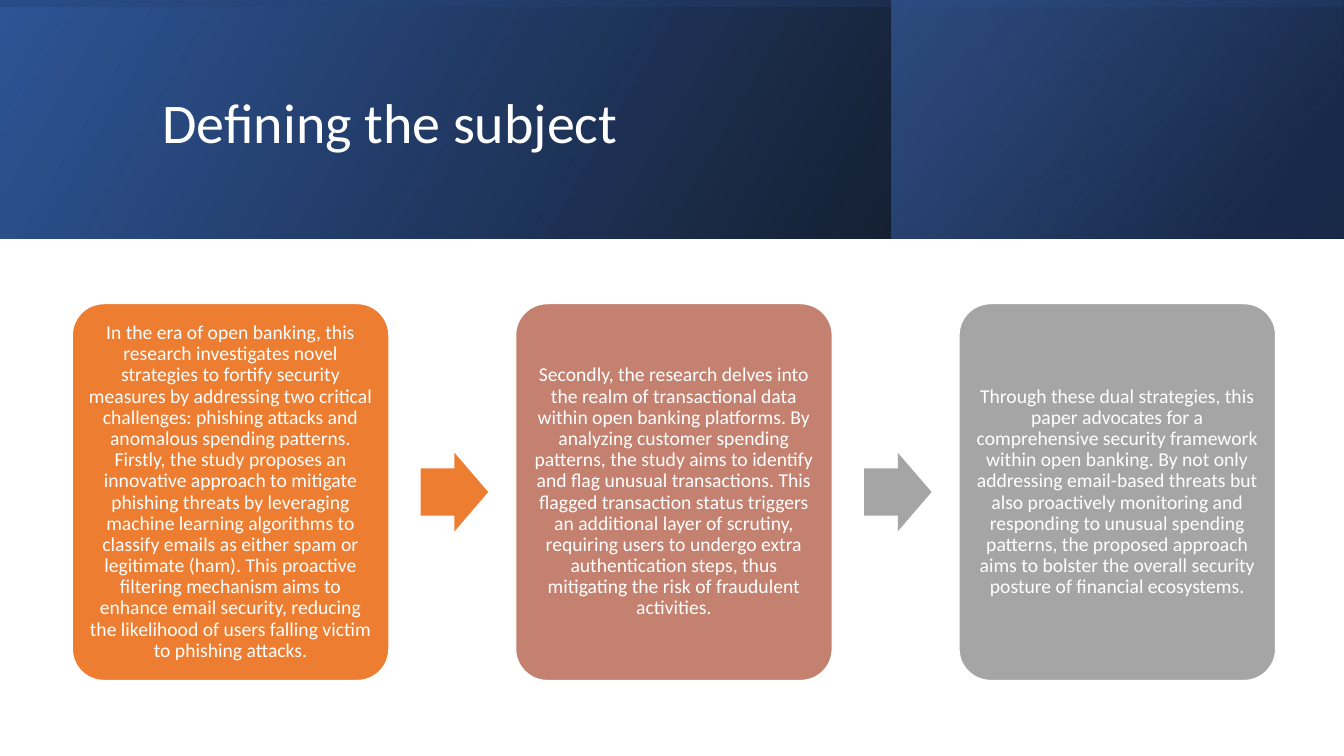
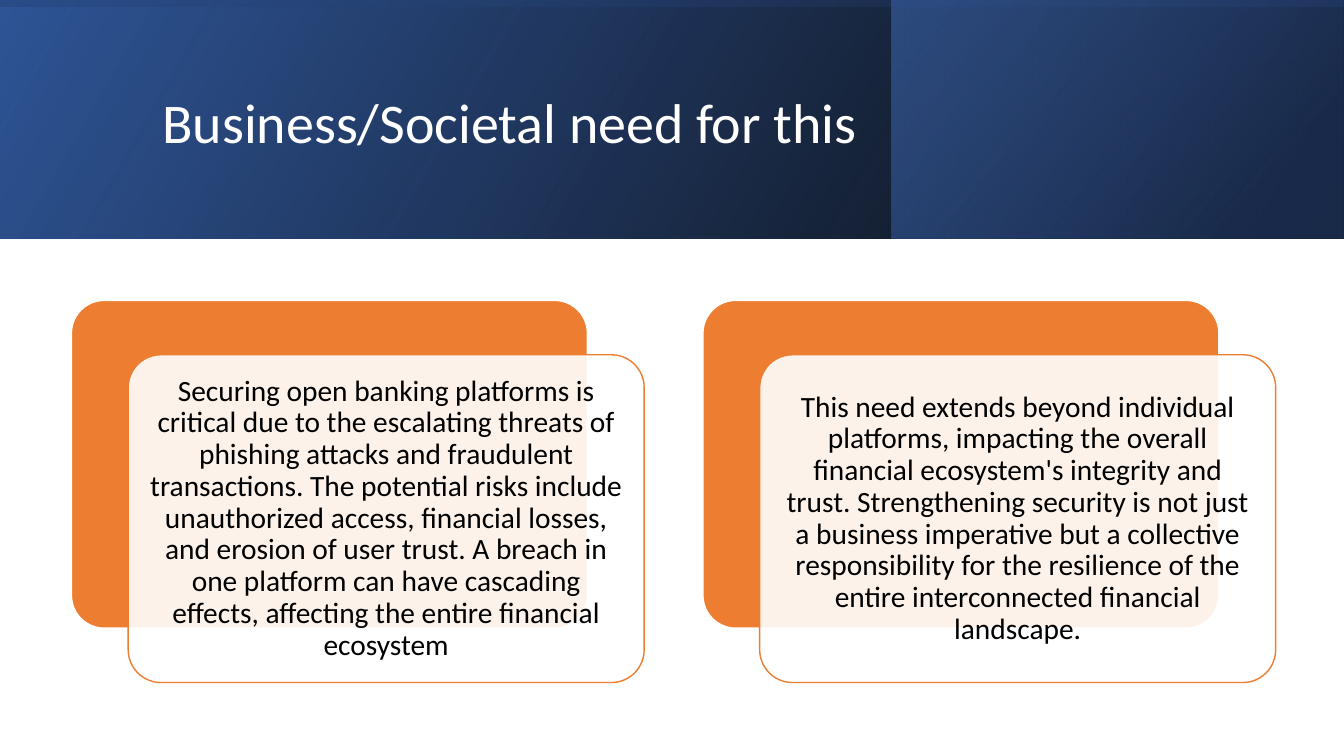
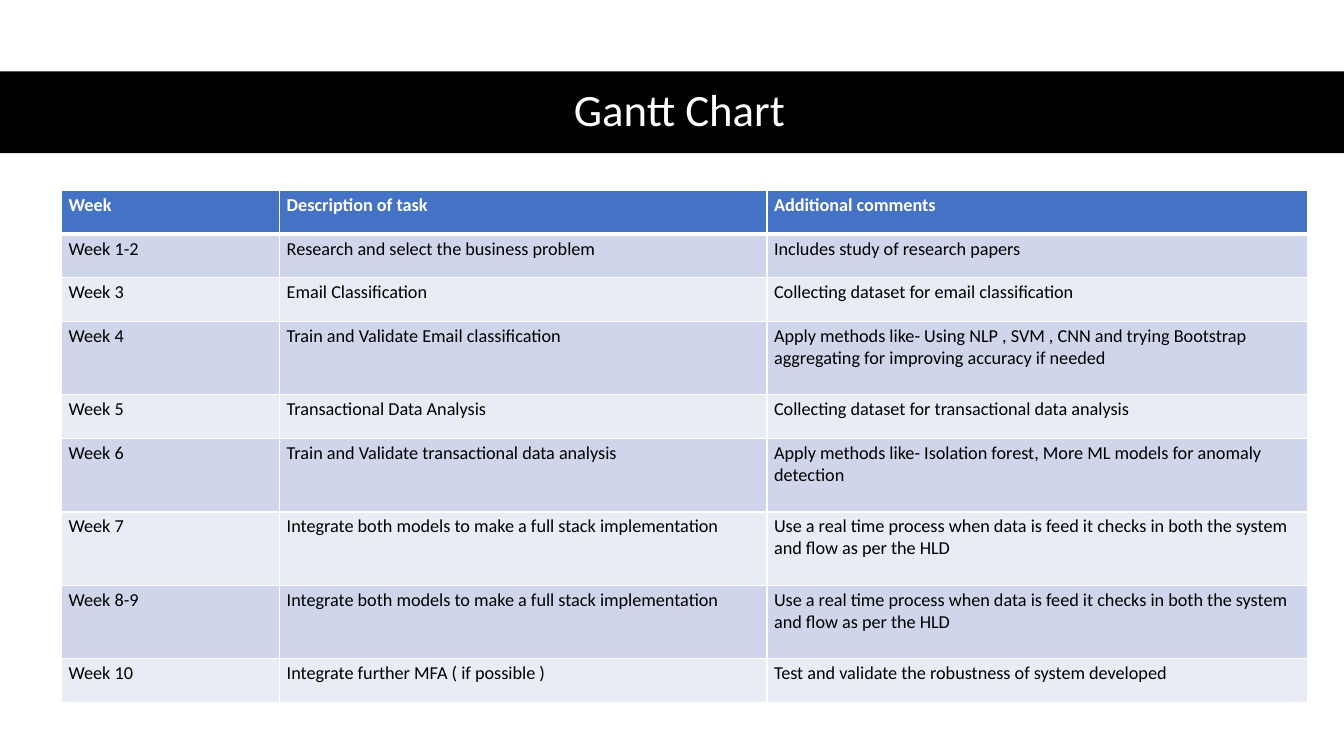
from collections import namedtuple

from lxml import etree
from pptx import Presentation
from pptx import util as u
from pptx.dml.color import RGBColor
from pptx.enum import shapes, text
from pptx.oxml.ns import qn

Box = namedtuple("Box", "x y w h")  # centimetres


class Theme:
    font = "Calibri"
    white, black = "FFFFFF", "000000"
    navy, royal, blue = "203864", "2F5597", "4472C4"
    orange, rose, grey = "ED7D31", "C48170", "A5A5A5"
    stripes = ("E9EBF5", "CFD5EA")
    title, table_title, step, note, cell = 40, 32, 14, 21, 13


WIDTH, HEIGHT = 33.86, 19.05
BAND = Box(0, 0, WIDTH, 6.02)

STEPS = [
    ("In the era of open banking, this research investigates novel strategies to fortify "
     "security measures by addressing two critical challenges: phishing attacks and anomalous "
     "spending patterns. Firstly, the study proposes an innovative approach to mitigate phishing "
     "threats by leveraging machine learning algorithms to classify emails as either spam or "
     "legitimate (ham). This proactive filtering mechanism aims to enhance email security, "
     "reducing the likelihood of users falling victim to phishing attacks.", Theme.orange),
    ("Secondly, the research delves into the realm of transactional data within open banking "
     "platforms. By analyzing customer spending patterns, the study aims to identify and flag "
     "unusual transactions. This flagged transaction status triggers an additional layer of "
     "scrutiny, requiring users to undergo extra authentication steps, thus mitigating the risk "
     "of fraudulent activities.", Theme.rose),
    ("Through these dual strategies, this paper advocates for a comprehensive security framework "
     "within open banking. By not only addressing email-based threats but also proactively "
     "monitoring and responding to unusual spending patterns, the proposed approach aims to "
     "bolster the overall security posture of financial ecosystems.", Theme.grey),
]
ARROW_COLORS = (Theme.orange, Theme.grey)

NEEDS = [
    "Securing open banking platforms is critical due to the escalating threats of phishing "
    "attacks and fraudulent transactions. The potential risks include unauthorized access, "
    "financial losses, and erosion of user trust. A breach in one platform can have cascading "
    "effects, affecting the entire financial ecosystem",
    "This need extends beyond individual platforms, impacting the overall financial ecosystem's "
    "integrity and trust. Strengthening security is not just a business imperative but a "
    "collective responsibility for the resilience of the entire interconnected financial "
    "landscape.",
]

INTEGRATE = ("Integrate both models to make a full stack implementation",
             "Use a real time process when data is feed it checks in both the system and flow "
             "as per the HLD")
SCHEDULE = [
    ("Week", "Description of task", "Additional comments"),
    ("Week 1-2", "Research and select the business problem", "Includes study of research papers"),
    ("Week 3", "Email Classification", "Collecting dataset for email classification"),
    ("Week 4", "Train and Validate Email classification",
     "Apply methods like- Using NLP , SVM , CNN and trying Bootstrap aggregating for improving "
     "accuracy if needed"),
    ("Week 5", "Transactional Data Analysis",
     "Collecting dataset for transactional data analysis"),
    ("Week 6", "Train and Validate transactional data analysis",
     "Apply methods like- Isolation forest, More ML models for anomaly detection"),
    ("Week 7", *INTEGRATE),
    ("Week 8-9", *INTEGRATE),
    ("Week 10", "Integrate further MFA ( if possible )",
     "Test and validate the robustness of system developed"),
]
TALL_ROWS = (3, 5, 6, 7)


def rgb(color):
    return RGBColor.from_string(color)


def cm(box):
    return [u.Cm(v) for v in box]


def add_run(p, content, size, color, bold=False):
    r = p.add_run()
    r.text = content
    f = r.font
    f.name, f.size, f.bold = Theme.font, u.Pt(size), bold
    f.color.rgb = rgb(color)


def add_shape(s, kind, box, fill=None, line=None):
    sp = s.shapes.add_shape(kind, *cm(box))
    sp.shadow.inherit = False
    if fill:
        sp.fill.solid()
        sp.fill.fore_color.rgb = rgb(fill)
    if line:
        sp.line.color.rgb = rgb(line)
        sp.line.width = u.Pt(1)
    else:
        sp.line.fill.background()
    return sp


def set_alpha(sp, *percents):
    """Set the opacity of the shape's fill colours, in order."""
    for clr, percent in zip(sp._element.spPr.iter(qn("a:srgbClr")), percents):
        etree.SubElement(clr, qn("a:alpha"), val=str(percent * 1000))


def add_gradient(s, box, angle, stops, rotation=0):
    """Add a mirrored rectangle; angle is clockwise, stops are (position, colour, opacity)."""
    sp = add_shape(s, shapes.MSO_SHAPE.RECTANGLE, box)
    sp.rotation = rotation
    sp._element.spPr.find(qn("a:xfrm")).set("flipH", "1")
    sp.fill.gradient()
    sp.fill.gradient_angle = 360 - angle
    for stop, (position, color, _) in zip(sp.fill.gradient_stops, stops):
        stop.position = position / 100
        stop.color.rgb = rgb(color)
    set_alpha(sp, *(opacity for _, _, opacity in stops))


def add_gradient_band(s, box):
    add_gradient(s, box, 330, [(0, Theme.black, 96), (100, Theme.royal, 100)])
    panel = 11.4
    add_gradient(s, Box(box.x + box.w - panel, box.y, panel, box.h), 320,
                 [(19, Theme.navy, 68), (100, Theme.blue, 48)])
    shift = (box.w - box.h) / 2
    add_gradient(s, Box(box.x + shift, box.y - shift, box.h, box.w), 350,
                 [(23, Theme.royal, 16), (99, Theme.black, 45)], rotation=270)


def set_title(s, content, box, size, align):
    """Fill the title placeholder and bring it in front of the band."""
    title = s.shapes.title
    title.left, title.top, title.width, title.height = cm(box)
    tf = title.text_frame
    tf.word_wrap, tf.auto_size = True, text.MSO_AUTO_SIZE.NONE
    tf.vertical_anchor = text.MSO_ANCHOR.MIDDLE
    p = tf.paragraphs[0]
    p.alignment, p.line_spacing = align, 0.9
    add_run(p, content, size, Theme.white)
    s.shapes._spTree.append(title._element)


def add_card(s, box, fill, line, content="", size=0, color=Theme.white, margin=0):
    sp = add_shape(s, shapes.MSO_SHAPE.ROUNDED_RECTANGLE, box, fill, line)
    sp.adjustments[0] = 0.1
    if content:
        tf = sp.text_frame
        tf.word_wrap = True
        tf.vertical_anchor = text.MSO_ANCHOR.MIDDLE
        tf.margin_left = tf.margin_right = tf.margin_top = tf.margin_bottom = u.Cm(margin)
        p = tf.paragraphs[0]
        p.alignment, p.line_spacing = text.PP_ALIGN.CENTER, 0.9
        add_run(p, content, size, color)
    return sp


def add_steps(s, box):
    """Spread the cards over the box, with an arrow in each gap."""
    card_w, arrow_w, arrow_h = 7.98, 1.7, 1.98
    pitch = (box.w - card_w) / (len(STEPS) - 1)
    for i, (content, color) in enumerate(STEPS):
        x = box.x + i * pitch
        add_card(s, Box(x, box.y, card_w, box.h), color, Theme.white,
                 content, Theme.step, margin=0.15)
        if i < len(ARROW_COLORS):
            arrow = add_shape(s, shapes.MSO_SHAPE.RIGHT_ARROW,
                              Box(x + card_w + 0.8, box.y + (box.h - arrow_h) / 2,
                                  arrow_w, arrow_h), ARROW_COLORS[i])
            arrow.adjustments[0], arrow.adjustments[1] = 0.6, 0.5


def add_needs(s, box):
    """Spread pairs of overlapping cards over the box."""
    dx, dy, card_w = 1.43, 1.37, 13
    card_h = box.h - dy
    pitch = (box.w - card_w - dx) / (len(NEEDS) - 1)
    for i, content in enumerate(NEEDS):
        x = box.x + i * pitch
        add_card(s, Box(x, box.y, card_w, card_h), Theme.orange, Theme.white)
        front = add_card(s, Box(x + dx, box.y + dy, card_w, card_h), Theme.white, Theme.orange,
                         content, Theme.note, Theme.black, 0.23)
        set_alpha(front, 90)


def set_borders(cell, top, bottom):
    tc_pr = cell._tc.get_or_add_tcPr()
    for side, width in (("L", 1), ("R", 1), ("T", top), ("B", bottom)):
        ln = etree.SubElement(tc_pr, qn(f"a:ln{side}"), w=str(u.Pt(width)))
        fill = etree.SubElement(ln, qn("a:solidFill"))
        etree.SubElement(fill, qn("a:srgbClr"), val=Theme.white)


def add_schedule(s, box):
    shares = (0.175, 0.391, 0.434)
    short = 1.1
    tall = (box.h - short * (len(SCHEDULE) - len(TALL_ROWS))) / len(TALL_ROWS)
    table = s.shapes.add_table(len(SCHEDULE), len(shares), *cm(box)).table
    for col, share in zip(table.columns, shares):
        col.width = u.Cm(box.w * share)
    for i, values in enumerate(SCHEDULE):
        header = i == 0
        table.rows[i].height = u.Cm(tall if i in TALL_ROWS else short)
        for j, content in enumerate(values):
            cell = table.cell(i, j)
            set_borders(cell, 3 if i == 1 else 1, 3 if header else 1)
            cell.fill.solid()
            cell.fill.fore_color.rgb = rgb(Theme.blue if header else Theme.stripes[i % 2])
            cell.margin_left = cell.margin_right = u.Cm(0.18)
            cell.margin_top = cell.margin_bottom = u.Cm(0.09)
            add_run(cell.text_frame.paragraphs[0], content, Theme.cell,
                    Theme.white if header else Theme.black, header)


def add_slide(prs):
    return prs.slides.add_slide(prs.slide_layouts.get_by_name("Title Only"))


def add_banner_slide(prs, title, add_content, box):
    s = add_slide(prs)
    add_gradient_band(s, BAND)
    set_title(s, title, Box(3.84, 0.97, 27, 4.37), Theme.title, text.PP_ALIGN.LEFT)
    add_content(s, box)


def add_schedule_slide(prs):
    s = add_slide(prs)
    add_shape(s, shapes.MSO_SHAPE.RECTANGLE, Box(0, 1.8, WIDTH, 2.06), Theme.black)
    set_title(s, "Gantt Chart", Box(1.55, 1.78, 31.14, 2.06), Theme.table_title,
              text.PP_ALIGN.CENTER)
    add_schedule(s, Box(1.55, 4.8, 31.4, 12.9))


def main():
    prs = Presentation()
    prs.slide_width, prs.slide_height = u.Cm(WIDTH), u.Cm(HEIGHT)
    add_banner_slide(prs, "Defining the subject", add_steps, Box(1.82, 7.65, 30.32, 9.5))
    add_banner_slide(prs, "Business/Societal need for this", add_needs,
                     Box(1.8, 7.57, 30.34, 9.63))
    add_schedule_slide(prs)
    prs.save("out.pptx")


if __name__ == "__main__":
    main()
